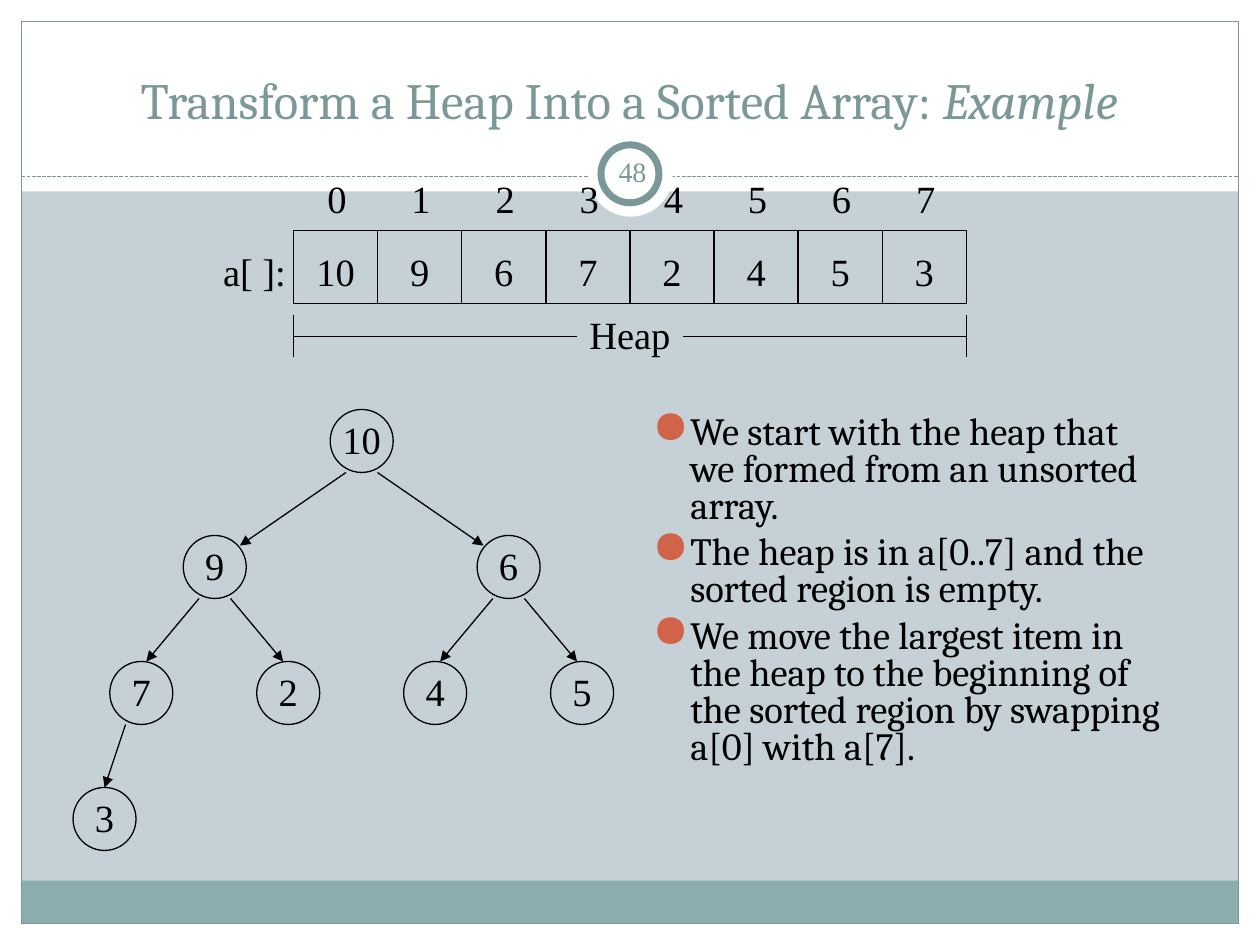
import pptx
import pptx.util
import pptx.dml.color
import pptx.enum.dml
import pptx.enum.shapes
import pptx.enum.text
import pptx.oxml
import pptx.oxml.ns
import lxml.etree

Inches = pptx.util.Inches
Pt = pptx.util.Pt
RGBColor = pptx.dml.color.RGBColor
SHAPE = pptx.enum.shapes.MSO_SHAPE
ANCHOR = pptx.enum.text.MSO_ANCHOR
ALIGN = pptx.enum.text.PP_ALIGN

BLACK = RGBColor(0x00, 0x00, 0x00)
WHITE = RGBColor(0xFF, 0xFF, 0xFF)
MIST = RGBColor(0xC5, 0xD1, 0xD7)
TEAL = RGBColor(0x7B, 0x98, 0x99)
BAND = RGBColor(0x8C, 0xAD, 0xAE)
RUST = RGBColor(0xD1, 0x63, 0x49)

HEAP = [10, 9, 6, 7, 2, 4, 5, 3]
BULLETS = [
    "We start with the heap that we formed from an unsorted array.",
    "The heap is in a[0..7] and the sorted region is empty.",
    "We move the largest item in the heap to the beginning of the sorted "
    "region by swapping a[0] with a[7].",
]
NODE = 0.5
# Arrow tip by tree level: shift towards the parent, drop below the node's top
ARROW_TIPS = {1: (0.2, 0.08), 2: (0.04, 0), 3: (0, 0)}


def apply_format(target, values):
    for name, value in values.items():
        setattr(target, name, value)


def add_run(paragraph, text, size, font="Times New Roman", color=BLACK, italic=None):
    run = paragraph.add_run()
    run.text = text
    apply_format(run.font, {"name": font, "size": Pt(size), "italic": italic})
    run.font.color.rgb = color


def set_frame(shape, insets=(0.1, 0.05, 0.1, 0.05), wrap=True, anchor=ANCHOR.MIDDLE):
    left, top, right, bottom = (Inches(inset) for inset in insets)
    apply_format(shape.text_frame, {
        "margin_left": left, "margin_top": top,
        "margin_right": right, "margin_bottom": bottom,
        "word_wrap": wrap, "vertical_anchor": anchor,
    })
    paragraph = shape.text_frame.paragraphs[0]
    paragraph.alignment = ALIGN.CENTER
    return paragraph


def add_figure(slide, kind, box, fill=None, line=None, width=0.75):
    shape = slide.shapes.add_shape(kind, *map(Inches, box))
    shape.shadow.inherit = False
    if fill is None:
        shape.fill.background()
    else:
        shape.fill.solid()
        shape.fill.fore_color.rgb = fill
    if line is None:
        shape.line.fill.background()
    else:
        shape.line.color.rgb = line
        shape.line.width = Pt(width)
    return shape


def add_label(slide, box, text, size=22, color=BLACK):
    label = slide.shapes.add_textbox(*map(Inches, box))
    add_run(set_frame(label, wrap=False), text, size, color=color)


def add_line(slide, start, end, color=BLACK, dash=None, arrow=False):
    line = slide.shapes.add_connector(
        pptx.enum.shapes.MSO_CONNECTOR.STRAIGHT, *map(Inches, (*start, *end)))
    line.line.color.rgb = color
    line.line.width = Pt(0.75)
    if dash is not None:
        line.line.dash_style = dash
    if arrow:
        lxml.etree.SubElement(line.line._get_or_add_ln(),
                              pptx.oxml.ns.qn("a:tailEnd"), type="triangle")
    lxml.etree.SubElement(line._element.spPr, pptx.oxml.ns.qn("a:effectLst"))


def add_backdrop(slide, box):
    left, top, width, height = box
    right, bottom, margin = left + width, top + height, 0.17
    slide.background.fill.solid()
    slide.background.fill.fore_color.rgb = MIST
    # White margins, with the deep one behind the title
    for strip in [
        (left, bottom - margin, width, margin),
        (left, top, width, 1.52),
        (left, top, margin, height),
        (right - margin, top, margin, height),
    ]:
        add_figure(slide, SHAPE.RECTANGLE, strip, WHITE)
    # Footer band, frame and dashed rule
    inner = width - 2 * margin
    add_figure(slide, SHAPE.RECTANGLE, (left + margin, bottom - 0.51, inner, 0.34), BAND)
    add_figure(slide, SHAPE.RECTANGLE,
               (left + margin, top + margin, inner, height - 2 * margin), line=TEAL)
    add_line(slide, (left + margin, top + 1.4), (right - margin, top + 1.4), TEAL,
             pptx.enum.dml.MSO_LINE.SQUARE_DOT)


def add_page_badge(slide, box):
    left, top, width, height = box
    add_figure(slide, SHAPE.OVAL, box, WHITE)
    add_figure(slide, SHAPE.OVAL,
               (left + 0.1, top + 0.1, width - 0.21, height - 0.21), WHITE, TEAL, 4)
    add_label(slide, (left + 0.1, top + 0.07, 0.5, 0.48), "48", 16, TEAL)


def add_title(slide, box):
    title = slide.shapes.add_textbox(*map(Inches, box))
    paragraph = set_frame(title, anchor=ANCHOR.BOTTOM)
    add_run(paragraph, "Transform a Heap Into a Sorted Array: ", 29, "Cambria", TEAL)
    add_run(paragraph, "Example", 29, "Cambria", TEAL, italic=True)


def add_bullets(slide, box):
    body = slide.shapes.add_textbox(*map(Inches, box))
    set_frame(body, anchor=ANCHOR.TOP)
    frame = body.text_frame
    for index, text in enumerate(BULLETS):
        paragraph = frame.add_paragraph() if index else frame.paragraphs[0]
        apply_format(paragraph, {"alignment": ALIGN.LEFT, "line_spacing": 0.8,
                                 "space_before": Pt(5.5)})
        add_run(paragraph, text, 22, "Cambria")
        properties = paragraph._p.get_or_add_pPr()
        properties.set("marL", str(Inches(0.3)))
        properties.set("indent", str(-Inches(0.3)))
        namespace = pptx.oxml.ns.nsdecls("a")
        for xml in (
            f'<a:buClr {namespace}><a:srgbClr val="{RUST}"/></a:buClr>',
            f'<a:buSzPct {namespace} val="120000"/>',
            f'<a:buChar {namespace} char="●"/>',
        ):
            properties.append(pptx.oxml.parse_xml(xml))


def add_heap_tree(slide, box):
    left, top, width, height = box
    # Each level halves the sideways step from parent to child
    first_step = (width - NODE) / 3.25
    level_gap = (height - NODE) / 3
    centers = [left + NODE / 2 + first_step * 1.75]
    for index, value in enumerate(HEAP):
        level = (index + 1).bit_length() - 1
        node_top = top + level * level_gap
        if index:
            parent_center = centers[(index - 1) // 2]
            side = -1 if index % 2 else 1
            center = parent_center + side * first_step / 2 ** (level - 1)
            centers.append(center)
            shift, drop = ARROW_TIPS[level]
            add_line(slide,
                     (parent_center + side * NODE / 4, node_top - level_gap + NODE),
                     (center - side * shift, node_top + drop), arrow=True)
        node = add_figure(slide, SHAPE.OVAL,
                          (centers[index] - NODE / 2, node_top, NODE, NODE), line=BLACK)
        add_run(set_frame(node, (0, 0, 0, 0.03), wrap=False), str(value), 22)


def add_heap_array(slide, box):
    left, top, width, height = box
    right, cell = left + width, width / len(HEAP)
    add_label(slide, (left - 0.66, top + 0.09, 0.7, 0.47), "a[ ]:")
    for index, value in enumerate(HEAP):
        cell_left = left + index * cell
        square = add_figure(slide, SHAPE.RECTANGLE, (cell_left, top, cell, height),
                            line=BLACK)
        add_run(set_frame(square, (0, 0.06, 0, 0), wrap=False), str(value), 22)
        add_label(slide, (cell_left + 0.17, top - 0.49, 0.33, 0.47), str(index))
    # Range marker below the cells
    middle, rule = left + width / 2, top + 0.84
    add_label(slide, (middle - 0.42, rule - 0.25, 0.84, 0.47), "Heap")
    for end in (left, right):
        add_line(slide, (end, rule - 0.17), (end, rule + 0.16))
    add_line(slide, (left, rule), (middle - 0.42, rule))
    add_line(slide, (middle + 0.42, rule), (right, rule))


def main():
    presentation = pptx.Presentation()
    apply_format(presentation, {"slide_width": Inches(10), "slide_height": Inches(7.5)})
    slide = presentation.slides.add_slide(presentation.slide_layouts[6])
    add_backdrop(slide, (0, 0, 10, 7.5))
    add_page_badge(slide, (4.67, 1.05, 0.67, 0.67))
    add_title(slide, (0.58, 0.5, 8.83, 0.58))
    add_bullets(slide, (5.08, 3.25, 4.25, 3.67))
    add_heap_tree(slide, (0.58, 3.25, 4.29, 3.5))
    add_heap_array(slide, (2.33, 1.83, 5.34, 0.58))
    presentation.save("out.pptx")


if __name__ == "__main__":
    main()
